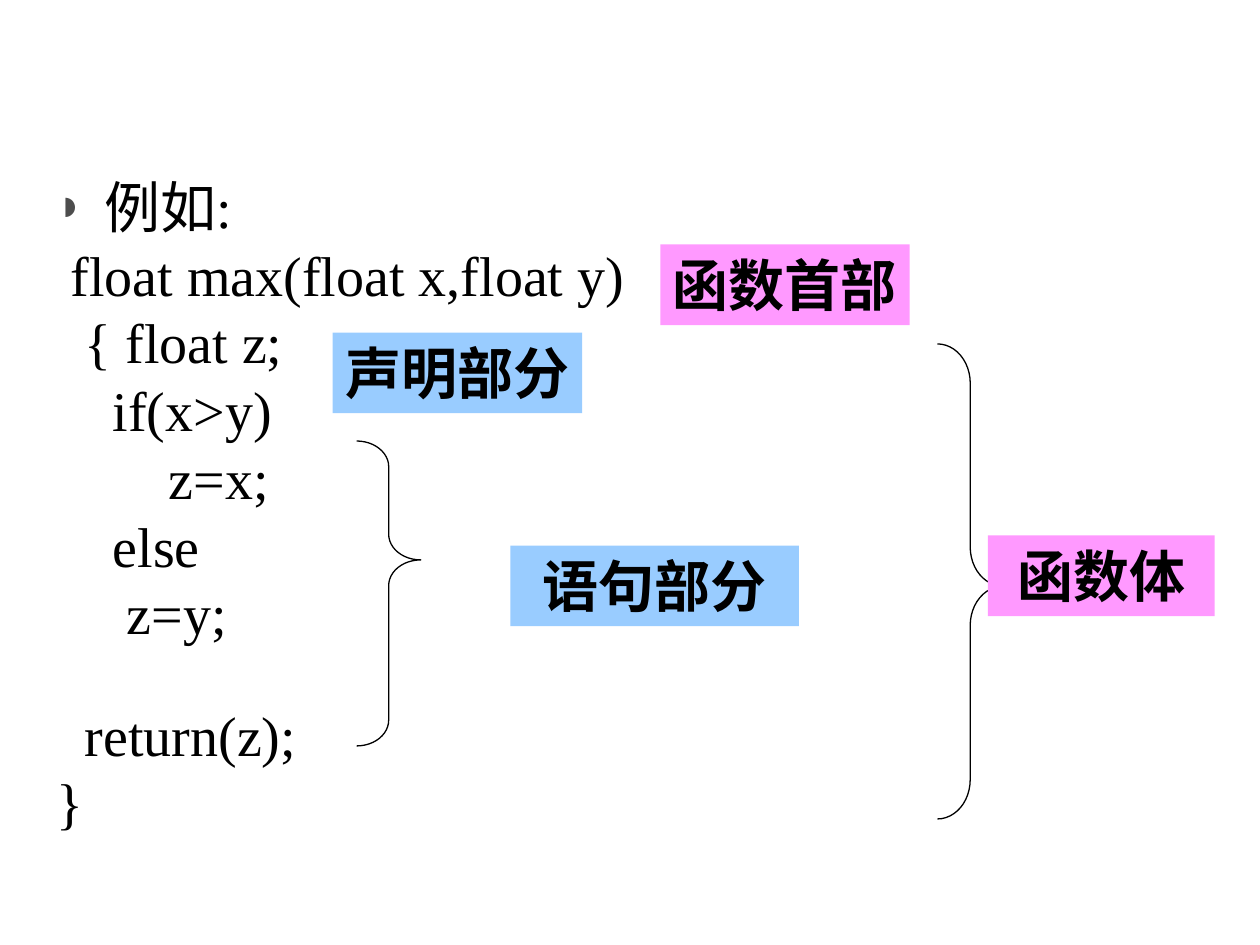
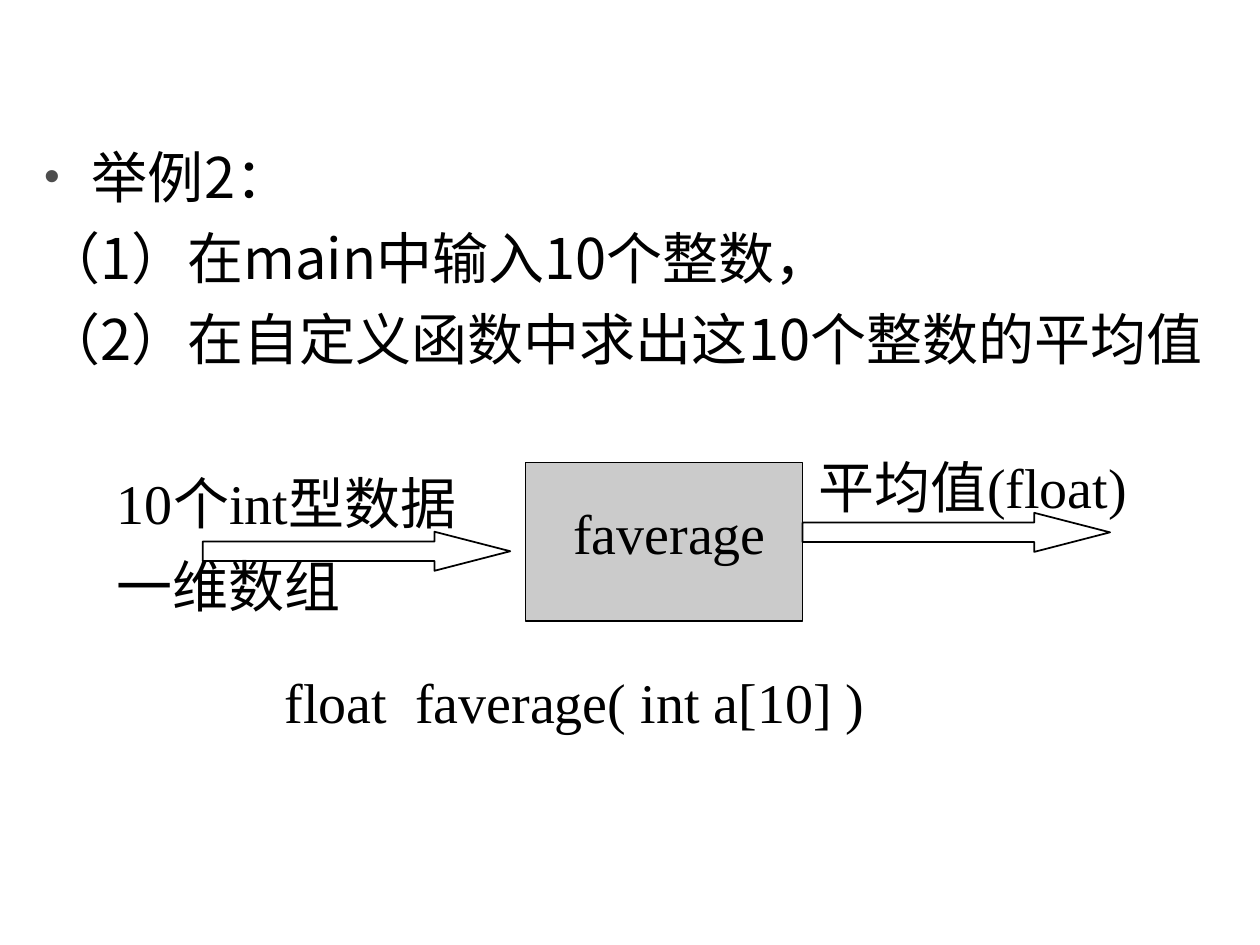
from lxml.etree import SubElement
from pptx import Presentation
from pptx.dml.color import RGBColor
from pptx.enum.shapes import MSO_SHAPE
from pptx.enum.text import MSO_ANCHOR, MSO_AUTO_SIZE, PP_ALIGN
from pptx.oxml.ns import qn
from pptx.util import Inches, Pt

HUES = {"ink": "000000", "dot": "4D4D4D", "pink": "FF99FF",
        "blue": "99CCFF", "gray": "CBCBCB"}
SERIF, SANS = "Times New Roman", "Noto Sans CJK SC"
SIZE, HANG, GAP = Pt(32), Inches(0.38), Pt(8)
ROW = 0.64

CODE = {
    "at": (0.35, 1.42, 9.21, 5.72), "face": SERIF, "mark": "◗", "lead": 0.8,
    "rows": ["例如:",
             " float max(float x,float y)",
             "  { float z;",
             "    if(x>y)",
             "        z=x;",
             "    else",
             "     z=y;",
             "  return(z);",
             "}"],
    "gaps": {7: Pt(38.6)},
}
TASK = {
    "at": (0.25, 1.08, 9.42, 6.17), "face": SANS, "mark": "•", "lead": 1.0,
    "rows": ["举例2：",
             "（1）在main中输入10个整数，",
             "（2）在自定义函数中求出这10个整数的平均值"],
    "gaps": {},
}
BRACES = [((2.83, 3.5, 0.51, 2.42), (0.4, 0.39)),
          ((7.44, 2.73, 0.52, 3.77), (0.6, 0.51))]
TAGS = [("语句部分", "blue", (4.05, 4.33, 2.29, ROW)),
        ("函数体", "pink", (7.84, 4.25, 1.8, ROW)),
        ("函数首部", "pink", (5.24, 1.94, 1.98, ROW)),
        ("声明部分", "blue", (2.64, 2.64, 1.98, ROW))]
BOX = (4.17, 3.67, 2.2, 1.26)
ARROWS = [(1.61, 4.22, 2.44, 0.31), (6.37, 4.07, 2.44, 0.31)]
NOTES = [(["10个int型数据", "一维数组"], (0.83, 3.67, 3.31, 1.3)),
         (["faverage"], (4.45, 3.91, 1.73, ROW)),
         (["平均值(float)"], (6.4, 3.54, 2.75, ROW)),
         (["float  faverage( int a[10] )"], (2.16, 5.25, 4.81, ROW))]


def hue(name):
    return RGBColor.from_string(HUES[name])


def apply(item, **vals):
    for key, val in vals.items():
        setattr(item, key, val)


def place(at):
    return [Inches(n) for n in at]


def style(para, face=SERIF, bold=False):
    apply(para.font, name=face, size=SIZE, bold=bold)
    para.font.color.rgb = hue("ink")


def setup(frame, wrap):
    apply(frame, word_wrap=wrap, auto_size=MSO_AUTO_SIZE.NONE,
          vertical_anchor=MSO_ANCHOR.TOP,
          margin_left=Inches(0.1), margin_right=Inches(0.1),
          margin_top=Inches(0.05), margin_bottom=Inches(0.05))


def bullet(para, mark):
    props = para._p.get_or_add_pPr()
    props.set("marL", str(HANG))
    props.set("indent", str(-HANG))
    if not mark:
        SubElement(props, qn("a:buNone"))
        return
    tint = SubElement(props, qn("a:buClr"))
    SubElement(tint, qn("a:srgbClr"), val=HUES["dot"])
    SubElement(props, qn("a:buSzPct"), val="80000")
    SubElement(props, qn("a:buChar"), char=mark)


def start(deck, data):
    slide = deck.slides.add_slide(deck.slide_layouts[1])
    title = slide.shapes.title._element
    title.getparent().remove(title)
    body = slide.placeholders[1]
    for key, val in zip(("left", "top", "width", "height"), place(data["at"])):
        setattr(body, key, val)
    frame = body.text_frame
    setup(frame, True)
    frame.text = "\n".join(data["rows"])
    for i, para in enumerate(frame.paragraphs):
        bullet(para, data["mark"] if i == 0 else None)
        apply(para, alignment=PP_ALIGN.JUSTIFY, line_spacing=data["lead"],
              space_before=data["gaps"].get(i, GAP) if i else Pt(0))
        style(para, data["face"])
    return slide.shapes


def shape(shapes, kind, at, fill=None, line=None, bends=()):
    part = shapes.add_shape(kind, *place(at))
    part.shadow.inherit = False
    if fill:
        part.fill.solid()
        part.fill.fore_color.rgb = hue(fill)
    else:
        part.fill.background()
    if line:
        part.line.color.rgb = hue("ink")
        part.line.width = Pt(line)
    else:
        part.line.fill.background()
    for i, bend in enumerate(bends):
        part.adjustments[i] = bend
    return part


def parts(deck):
    shapes = start(deck, CODE)
    for at, bends in BRACES:
        shape(shapes, MSO_SHAPE.RIGHT_BRACE, at, line=0.75, bends=bends)
    for text, fill, at in TAGS:
        frame = shape(shapes, MSO_SHAPE.RECTANGLE, at, fill).text_frame
        setup(frame, True)
        frame.text = text
        para = frame.paragraphs[0]
        para.alignment = PP_ALIGN.CENTER
        style(para, bold=True)


def flow(deck):
    shapes = start(deck, TASK)
    shape(shapes, MSO_SHAPE.RECTANGLE, BOX, "gray", 1)
    for at in ARROWS:
        shape(shapes, MSO_SHAPE.RIGHT_ARROW, at, line=1, bends=(0.5, 1.94))
    for rows, at in NOTES:
        frame = shapes.add_textbox(*place(at)).text_frame
        setup(frame, len(rows) > 1)
        frame.text = "\n".join(rows)
        for i, para in enumerate(frame.paragraphs):
            para.space_before = Pt(9 if i else 0)
            style(para)


def main():
    deck = Presentation()
    apply(deck, slide_width=Inches(10), slide_height=Inches(7.5))
    parts(deck)
    flow(deck)
    deck.save("out.pptx")


if __name__ == "__main__":
    main()
